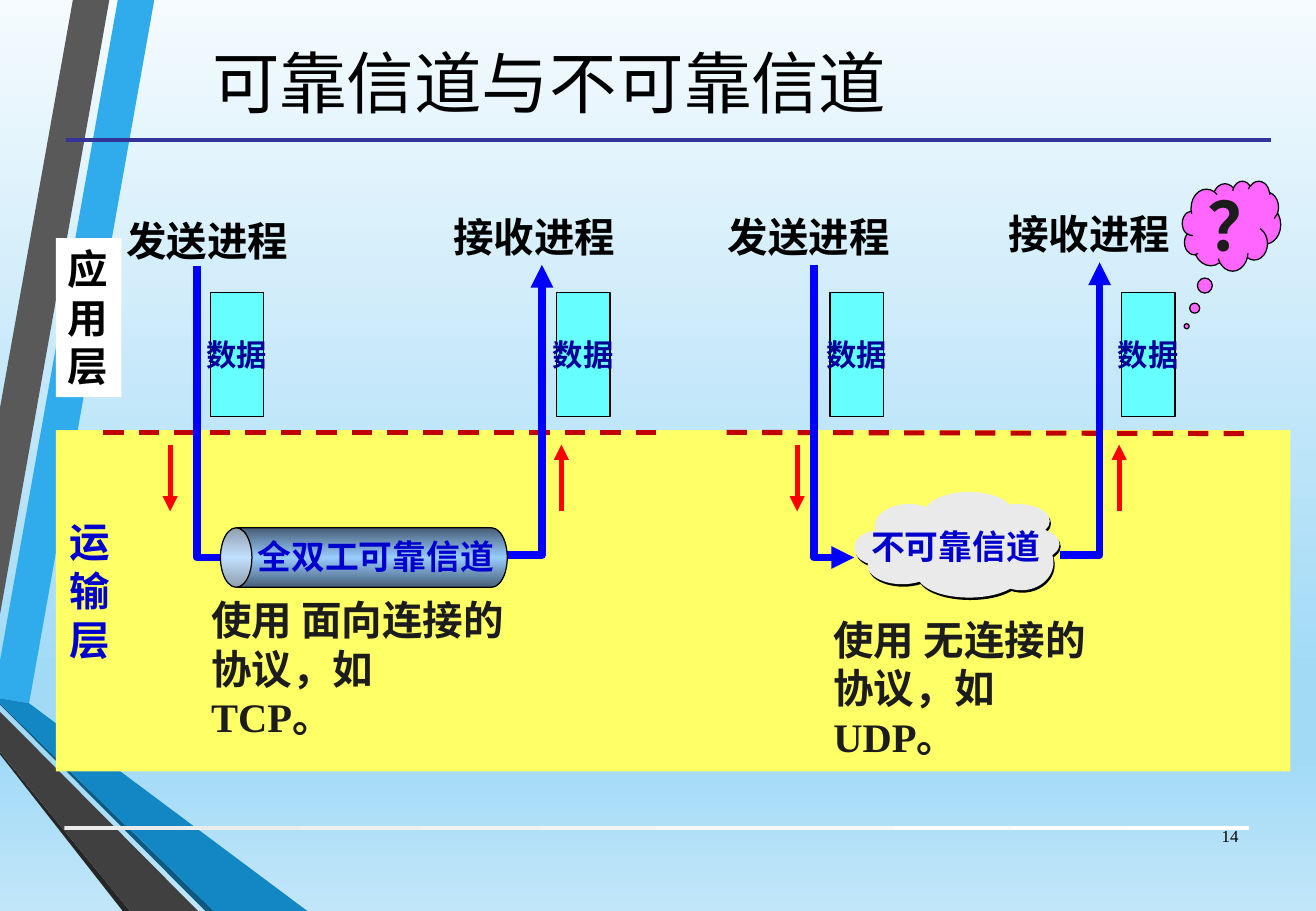
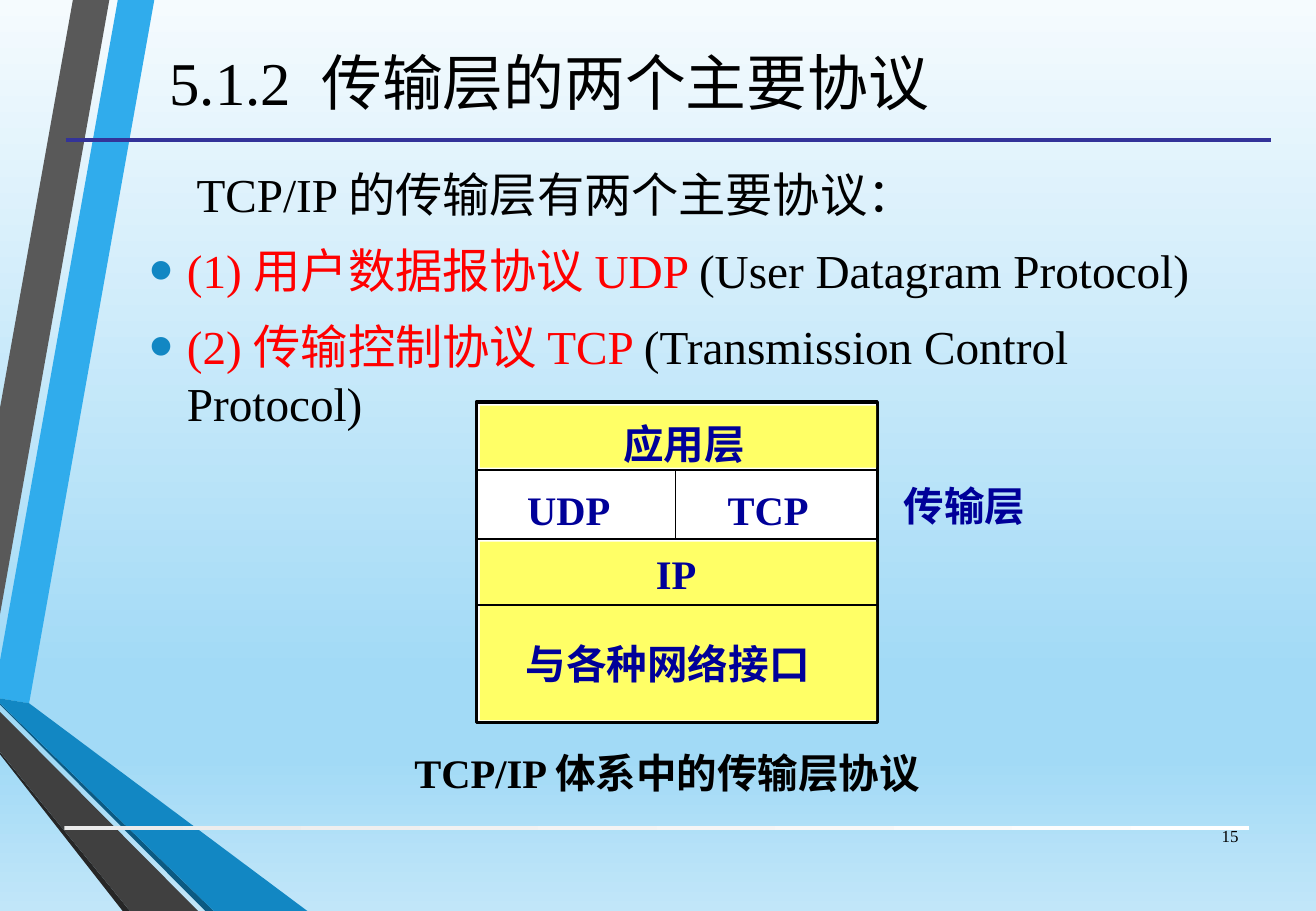
"""Builds two slides on reliable channels and the transport-layer protocols."""
from dataclasses import dataclass

from lxml import etree
from pptx import Presentation
from pptx.dml.color import RGBColor
from pptx.enum.dml import MSO_LINE
from pptx.enum.lang import MSO_LANGUAGE_ID
from pptx.enum.shapes import MSO_CONNECTOR, MSO_SHAPE
from pptx.enum.text import MSO_ANCHOR, PP_ALIGN
from pptx.oxml.ns import qn
from pptx.util import Inches, Pt

RECT, OVAL, CAN = MSO_SHAPE.RECTANGLE, MSO_SHAPE.OVAL, MSO_SHAPE.CAN
THOUGHT = MSO_SHAPE.CLOUD_CALLOUT
STRAIGHT, DASH = MSO_CONNECTOR.STRAIGHT, MSO_LINE.DASH
LEFT, CENTER, RIGHT = PP_ALIGN.LEFT, PP_ALIGN.CENTER, PP_ALIGN.RIGHT
TOP, MIDDLE = MSO_ANCHOR.TOP, MSO_ANCHOR.MIDDLE
CHINESE = MSO_LANGUAGE_ID.SIMPLIFIED_CHINESE
FONT = "Times New Roman"

BLACK = RGBColor(0x00, 0x00, 0x00)
WHITE = RGBColor(0xFF, 0xFF, 0xFF)
INK = RGBColor(0x1C, 0x1C, 0x1C)
NAVY = RGBColor(0x00, 0x00, 0x99)
BLUE = RGBColor(0x00, 0x00, 0xCC)
PIPE_BLUE = RGBColor(0x00, 0x00, 0xFF)
RULE_BLUE = RGBColor(0x33, 0x33, 0x99)
RED = RGBColor(0xFF, 0x00, 0x00)
DARK_RED = RGBColor(0xC0, 0x00, 0x00)
YELLOW = RGBColor(0xFF, 0xFF, 0x66)
CYAN = RGBColor(0x66, 0xFF, 0xFF)
PINK = RGBColor(0xFF, 0x66, 0xFF)
CLOUD_GREY = RGBColor(0xEA, 0xEA, 0xEA)
SILVER = RGBColor(0xEB, 0xEB, 0xEB)
STEEL = RGBColor(0x47, 0x5E, 0x76)
LIGHT_STEEL = RGBColor(0x99, 0xCC, 0xFF)
SKY_PALE = RGBColor(0xF5, 0xFB, 0xFE)
SKY = RGBColor(0xA2, 0xDA, 0xF6)
SKY_FOOT = RGBColor(0xC1, 0xE6, 0xF9)
BAND_BLUE = RGBColor(0x30, 0xAC, 0xEC)
BAND_GREY = RGBColor(0x59, 0x59, 0x59)
FOOT_EDGE = RGBColor(0x26, 0x26, 0x26)
FOOT_GREY = RGBColor(0x40, 0x40, 0x40)
FOOT_TEAL = RGBColor(0x0C, 0x5A, 0x82)
FOOT_BLUE = RGBColor(0x12, 0x87, 0xC3)

RIBBONS = (
    (BAND_BLUE, ((0, 5.44), (0, 5.75), (0.24, 5.79), (1.27, 0), (0.97, 0))),
    (BAND_GREY, ((0.9, 0), (0.6, 0), (0, 3.36), (0, 5.06))),
    (FOOT_EDGE, ((0, 6.19), (0, 6.21), (1.01, 7.5), (1.07, 7.5))),
    (FOOT_TEAL, ((0, 5.79), (0, 5.8), (1.69, 7.5), (1.76, 7.5))),
    (FOOT_BLUE, ((0, 5.79), (1.76, 7.5), (2.53, 7.5), (0.24, 5.79), (0, 5.75))),
    (FOOT_GREY, ((0, 6.19), (1.07, 7.5), (1.63, 7.5), (0, 5.86))),
)
PUFFS = (
    (7.61, 4.05, 0.73, 0.35), (7.2, 4.15, 0.56, 0.36), (7.03, 4.37, 0.37, 0.28),
    (7.14, 4.5, 0.57, 0.31), (7.55, 4.55, 0.85, 0.37), (8.11, 4.15, 0.53, 0.28),
    (8.19, 4.34, 0.53, 0.28), (8.14, 4.4, 0.53, 0.46), (7.34, 4.26, 1.1, 0.46),
)


@dataclass(frozen=True)
class Style:
    """Look of a run of text."""
    size: float = 24
    color: RGBColor = BLACK
    bold: bool = True


@dataclass(frozen=True)
class Label:
    """Text lines with their place and look."""
    lines: tuple
    left: float
    top: float
    width: float
    height: float = 0.5
    style: Style = Style()
    align: PP_ALIGN = LEFT
    anchor: MSO_ANCHOR = TOP


@dataclass(frozen=True)
class Process:
    """A process, its pipe into the channel and its data block."""
    name: str
    name_left: float
    name_top: float
    pipe: tuple
    arrow_end: str
    data_left: float
    red_x: float
    sends: bool


PROCESSES = (
    Process("发送进程", 0.94, 1.73, ((1.62, 2.19), (1.62, 4.59), (2.02, 4.59)),
            "tailEnd", 1.73, 1.4, True),
    Process("接收进程", 3.63, 1.7, ((4.46, 2.18), (4.46, 4.57), (4.06, 4.57)),
            "headEnd", 4.58, 4.62, False),
    Process("发送进程", 5.89, 1.7, ((6.7, 2.18), (6.7, 4.59), (7.03, 4.59)),
            "tailEnd", 6.83, 6.56, True),
    Process("接收进程", 8.2, 1.67, ((9.05, 2.16), (9.05, 4.57), (8.72, 4.57)),
            "headEnd", 9.23, 9.21, False),
)


def set_gradient(fill, element, stops, angle: float) -> None:
    """Fill with a linear gradient of (percent, colour) stops."""
    fill.gradient()
    fill.gradient_angle = angle
    stop_list = element.find(".//" + qn("a:gsLst"))
    for stop in list(stop_list):
        stop_list.remove(stop)
    for percent, color in stops:
        stop = etree.SubElement(stop_list, qn("a:gs"), pos=str(percent * 1000))
        etree.SubElement(stop, qn("a:srgbClr"), val=str(color))


def add_arrowhead(line_owner, end: str) -> None:
    """Put a triangle on one end of a line."""
    outline = line_owner.line._get_or_add_ln()
    etree.SubElement(outline, qn("a:" + end), type="triangle")


def add_span(para, text: str, style: Style) -> None:
    """Append one formatted run."""
    span = para.add_run()
    span.text = text
    font = span.font
    font.name, font.size, font.bold = FONT, Pt(style.size), style.bold
    font.color.rgb = style.color
    font.language_id = CHINESE


def add_label(page, label: Label) -> None:
    """Draw a text box, one paragraph a line; inner tuples are line-broken."""
    box = page.shapes.add_textbox(Inches(label.left), Inches(label.top),
                                  Inches(label.width), Inches(label.height))
    frame = box.text_frame
    frame.word_wrap, frame.vertical_anchor = True, label.anchor
    for index, line in enumerate(label.lines):
        para = frame.add_paragraph() if index else frame.paragraphs[0]
        para.alignment = label.align
        pieces = line if isinstance(line, tuple) else (line,)
        for number, piece in enumerate(pieces):
            if number:
                para.add_line_break()
            add_span(para, piece, label.style)


def add_block(page, kind, place: tuple, color=None, outline: float = 0):
    """Draw a preset shape with a plain fill and an optional black outline."""
    shape = page.shapes.add_shape(kind, *map(Inches, place))
    shape.shadow.inherit = False
    if color is not None:
        shape.fill.solid()
        shape.fill.fore_color.rgb = color
    if outline:
        shape.line.color.rgb, shape.line.width = BLACK, Pt(outline)
    else:
        shape.line.fill.background()
    return shape


def add_outline(page, points: tuple, closed: bool):
    """Draw a freeform through points given in inches."""
    corners = [(Inches(x), Inches(y)) for x, y in points]
    builder = page.shapes.build_freeform(*corners[0])
    builder.add_line_segments(corners[1:], close=closed)
    shape = builder.convert_to_shape()
    shape.shadow.inherit = False
    return shape


def add_line(page, start: tuple, end: tuple, color: RGBColor, width: float):
    """Draw a straight connector without a shadow."""
    line = page.shapes.add_connector(STRAIGHT, *map(Inches, start + end))
    line.line.color.rgb, line.line.width = color, Pt(width)
    etree.SubElement(line._element.spPr, qn("a:effectLst"))
    return line


def add_page(deck, title: str, title_size: float, number: int):
    """Add a slide with the shared background, ribbons, rules, title and number."""
    page = deck.slides.add_slide(deck.slide_layouts[6])
    sky = ((0, SKY_PALE), (74, SKY), (83, SKY), (100, SKY_FOOT))
    set_gradient(page.background.fill, page._element, sky, 270)
    for color, points in RIBBONS:
        ribbon = add_outline(page, points, True)
        ribbon.fill.solid()
        ribbon.fill.fore_color.rgb = color
        ribbon.line.fill.background()
    footer = add_block(page, RECT, (0.53, 6.8, 9.75, 0.03))
    set_gradient(footer.fill, footer._element, ((0, SILVER), (100, WHITE)), 0)
    add_line(page, (0.54, 1.15), (10.46, 1.15), RULE_BLUE, 2.25)
    add_label(page, Label((title,), 0.43, 0.05, 8.18, 1.24,
                          Style(title_size, bold=False), CENTER, MIDDLE))
    add_label(page, Label((str(number),), 9.78, 6.68, 0.51, 0.4,
                          Style(10, bold=False), RIGHT, MIDDLE))
    return page


def add_process(page, process: Process) -> None:
    """Draw a process name, its pipe, data block and red direction arrow."""
    add_label(page, Label((process.name,), process.name_left, process.name_top, 1.63))
    pipe = add_outline(page, process.pipe, False)
    pipe.fill.background()
    pipe.line.color.rgb, pipe.line.width = PIPE_BLUE, Pt(4.5)
    add_arrowhead(pipe, process.arrow_end)
    block = add_block(page, RECT, (process.data_left, 2.41, 0.44, 1.02), CYAN, 0.75)
    frame = block.text_frame
    frame.word_wrap, frame.vertical_anchor = False, MIDDLE
    frame.paragraphs[0].alignment = CENTER
    add_span(frame.paragraphs[0], "数据", Style(18, NAVY))
    ends = [(process.red_x, 3.66), (process.red_x, 4.21)]
    start, end = ends if process.sends else reversed(ends)
    add_arrowhead(add_line(page, start, end, RED, 3), "tailEnd")


def build_channels(deck) -> None:
    """Compare a reliable with an unreliable channel."""
    page = add_page(deck, "可靠信道与不可靠信道", 40, 14)
    add_block(page, RECT, (0.46, 3.54, 10.16, 2.81), YELLOW)
    thought = add_block(page, THOUGHT, (9.73, 1.49, 0.81, 0.74), PINK, 0.75)
    thought.adjustments[0], thought.adjustments[1] = -0.456, 1.116
    add_block(page, RECT, (0.46, 1.96, 0.54, 1.31), WHITE)
    for start, end in (((0.85, 3.56), (5.43, 3.56)), ((5.98, 3.56), (10.32, 3.57))):
        add_line(page, start, end, DARK_RED, 3).line.dash_style = DASH
    for process in PROCESSES:
        add_process(page, process)
    can = add_block(page, CAN, (2.75, 3.41, 0.49, 2.36), outline=0.75)
    can.rotation, can.adjustments[0] = 270, 0.528
    set_gradient(can.fill, can._element,
                 ((0, STEEL), (50, LIGHT_STEEL), (100, STEEL)), 0)
    for color, shift_x, shift_y in ((BLACK, 0.01, 0.02), (CLOUD_GREY, 0, 0)):
        for left, top, width, height in PUFFS:
            add_block(page, OVAL, (left + shift_x, top + shift_y, width, height), color)
    channel, note = Style(20, BLUE), Style(color=INK)
    for label in (
        Label(("？",), 9.84, 1.47, 0.43, 0.77, Style(40, INK)),
        Label(tuple("应用层"), 0.46, 1.96, 0.54, 1.31),
        Label(tuple("运输层"), 0.47, 4.21, 0.54, 1.31, Style(color=BLUE)),
        Label(("全双工可靠信道",), 2.02, 4.36, 2.25, 0.43, channel),
        Label(("不可靠信道",), 7.07, 4.28, 1.7, 0.44, channel),
        Label(("使用 面向连接的", ("协议，如", "TCP。")), 1.64, 4.85, 2.8, 1.31, note),
        Label(("使用 无连接的", ("协议，如", "UDP。")), 6.76, 5.01, 2.8, 1.31, note),
    ):
        add_label(page, label)


def add_protocol_list(page) -> None:
    """Draw the lead sentence and the two bulleted protocols."""
    box = page.shapes.add_textbox(Inches(1.13), Inches(1.31), Inches(9.13), Inches(3.64))
    frame = box.text_frame
    frame.word_wrap = True
    plain, red = Style(28, bold=False), Style(28, RED, False)
    rows = (
        (("TCP/IP 的传输层有两个主要协议：", plain),),
        (("(1) 用户数据报协议 UDP ", red), ("(User Datagram Protocol)", plain)),
        (("(2) 传输控制协议 TCP ", red), ("(Transmission Control Protocol)", plain)),
    )
    for index, spans in enumerate(rows):
        para = frame.add_paragraph() if index else frame.paragraphs[0]
        para.space_before, para.space_after = Pt(5.6), Pt(6)
        for text, style in spans:
            add_span(para, text, style)
        properties = para._p.get_or_add_pPr()
        properties.set("marL", str(Inches(0.31 if index else 0.39)))
        if index:
            properties.set("indent", str(-Inches(0.31)))
            color = etree.SubElement(properties, qn("a:buClr"))
            etree.SubElement(color, qn("a:srgbClr"), val=str(FOOT_BLUE))
            etree.SubElement(properties, qn("a:buSzPct"), val="145000")
            etree.SubElement(properties, qn("a:buFont"), typeface="Arial")
            etree.SubElement(properties, qn("a:buChar"), char="•")


def build_protocols(deck) -> None:
    """Show the two transport protocols and their place in the stack."""
    page = add_page(deck, "5.1.2  传输层的两个主要协议", 36, 15)
    add_protocol_list(page)
    add_block(page, RECT, (3.92, 3.31, 3.3, 2.64), WHITE, 2)
    add_block(page, RECT, (3.95, 3.34, 3.26, 0.51), YELLOW)
    add_block(page, RECT, (3.95, 4.46, 3.26, 1.47), YELLOW)
    for y in (3.87, 4.44, 4.98):
        add_line(page, (3.92, y), (7.22, y), BLACK, 1)
    add_line(page, (5.56, 3.87), (5.56, 4.44), BLACK, 1)
    for text, left, top, width in (
        ("应用层", 5.03, 3.4, 1.3), ("UDP", 4.24, 3.94, 1), ("TCP", 5.89, 3.94, 1),
        ("IP", 5.3, 4.47, 0.7), ("与各种网络接口", 4.23, 5.21, 2.81),
        ("传输层", 7.34, 3.91, 1.3),
    ):
        add_label(page, Label((text,), left, top, width, style=Style(color=NAVY)))
    add_label(page, Label(("TCP/IP 体系中的传输层协议",), 2.82, 6.11, 5.34, align=CENTER))


def main() -> None:
    """Build and save the deck."""
    deck = Presentation()
    deck.slide_width, deck.slide_height = Inches(10.83), Inches(7.5)
    build_channels(deck)
    build_protocols(deck)
    deck.save("out.pptx")


if __name__ == "__main__":
    main()
